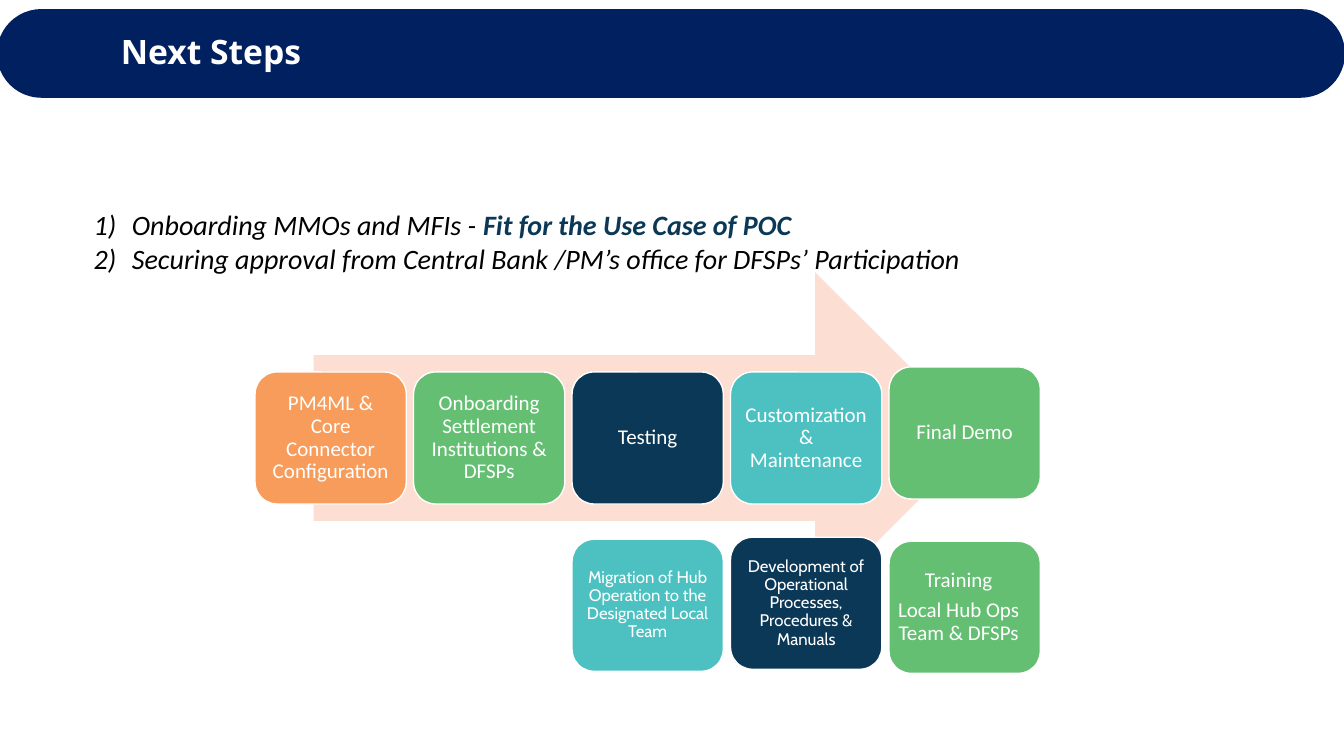
from dataclasses import dataclass

import pptx
import pptx.dml.color
import pptx.enum.shapes
import pptx.enum.text
import pptx.oxml
import pptx.oxml.ns
import pptx.util
from pptx.util import Inches

COLORS = {
    "banner": "002060",
    "arrow": "FCDED2",
    "orange": "F89C5B",
    "green": "65BF73",
    "navy": "0B3856",
    "teal": "4DC1C1",
    "white": "FFFFFF",
    "black": "000000",
}
SHAPES = pptx.enum.shapes.MSO_SHAPE
ALIGN = pptx.enum.text.PP_ALIGN
FIRST_COLUMN, COLUMN_PITCH = 2.53, 1.572
CARD_WIDTH, CARD_HEIGHT = 1.5, 1.31
CARD_INSET = 0.06


@dataclass(frozen=True)
class Card:
    column: int
    top: float
    color: str
    lines: tuple[str, ...]
    font: str = "Calibri"
    size: int = 15
    text_shift: float = 0


CARDS = (
    Card(0, 3.69, "orange", ("PM4ML & Core Connector Configuration",)),
    Card(1, 3.69, "green", ("Onboarding Settlement Institutions & DFSPs",)),
    Card(2, 3.69, "navy", ("Testing",)),
    Card(3, 3.69, "teal", ("Customization & Maintenance",)),
    Card(4, 3.64, "green", ("Final Demo",)),
    Card(4, 5.37, "green", ("Training", "Local Hub Ops Team & DFSPs"), text_shift=-0.06),
    Card(3, 5.33, "navy", ("Development of Operational Processes, Procedures & Manuals",), "Cabin", 12),
    Card(2, 5.35, "teal", ("Migration of Hub Operation to the Designated Local Team",), "Cabin", 12),
)


def rgb(name: str) -> pptx.dml.color.RGBColor:
    return pptx.dml.color.RGBColor.from_string(COLORS[name])


def style_font(font, name: str, size: int, color: str) -> None:
    font.name = name
    font.size = pptx.util.Pt(size)
    font.color.rgb = rgb(color)


def add_filled(slide, kind, left: float, top: float, width: float, height: float, color: str):
    shape = slide.shapes.add_shape(kind, Inches(left), Inches(top), Inches(width), Inches(height))
    shape.shadow.inherit = False
    shape.fill.solid()
    shape.fill.fore_color.rgb = rgb(color)
    shape.line.fill.background()
    return shape


def add_banner(slide) -> None:
    banner = add_filled(slide, SHAPES.ROUNDED_RECTANGLE, -0.03, 0.09, 13.37, 0.88, "banner")
    banner.adjustments[0] = 0.5
    banner.text_frame.margin_left = Inches(1.1)
    banner.text_frame.vertical_anchor = pptx.enum.text.MSO_ANCHOR.MIDDLE
    paragraph = banner.text_frame.paragraphs[0]
    paragraph.text = "Next Steps"
    paragraph.alignment = ALIGN.LEFT
    paragraph.line_spacing = 0.9
    style_font(paragraph.font, "Noto Sans", 24, "white")
    paragraph.font.bold = True


def add_numbered_list(slide) -> None:
    box = slide.shapes.add_textbox(Inches(0.83), Inches(0.99), Inches(8.91), Inches(2.79))
    frame = box.text_frame
    frame.word_wrap = True
    frame.margin_top = Inches(1.07)
    items = (
        ("Onboarding MMOs and MFIs - ", "Fit for the Use Case of POC"),
        ("Securing approval from Central Bank /PM’s office for DFSPs’ Participation", ""),
    )
    for index, (text, emphasis) in enumerate(items):
        paragraph = frame.add_paragraph() if index else frame.paragraphs[0]
        properties = paragraph._p.get_or_add_pPr()
        properties.set("marL", str(Inches(0.38)))
        properties.set("indent", str(-Inches(0.38)))
        numbering = pptx.oxml.parse_xml(
            f'<a:buAutoNum {pptx.oxml.ns.nsdecls("a")} type="arabicParenR"/>'
        )
        properties.append(numbering)
        style_font(paragraph.font, "Calibri", 20, "black")
        paragraph.font.italic = True
        for content, bold, color in ((text, False, "black"), (emphasis, True, "navy")):
            if content:
                run = paragraph.add_run()
                run.text = content
                style_font(run.font, "Calibri", 20, color)
                run.font.italic = True
                run.font.bold = bold


def add_card(slide, card: Card) -> None:
    left = FIRST_COLUMN + card.column * COLUMN_PITCH
    shape = add_filled(
        slide, SHAPES.ROUNDED_RECTANGLE, left, card.top, CARD_WIDTH, CARD_HEIGHT, card.color
    )
    shape.line.color.rgb = rgb("white")
    shape.line.width = pptx.util.Pt(1)
    frame = shape.text_frame
    frame.word_wrap = True
    frame.vertical_anchor = pptx.enum.text.MSO_ANCHOR.MIDDLE
    frame.margin_top = frame.margin_bottom = Inches(CARD_INSET)
    frame.margin_left = Inches(CARD_INSET + card.text_shift)
    frame.margin_right = Inches(CARD_INSET - card.text_shift)
    for index, line in enumerate(card.lines):
        paragraph = frame.add_paragraph() if index else frame.paragraphs[0]
        paragraph.text = line
        paragraph.alignment = ALIGN.CENTER
        paragraph.line_spacing = 0.9
        paragraph.space_after = pptx.util.Pt(card.size * 0.35)
        style_font(paragraph.font, card.font, card.size, "white")


def main() -> None:
    presentation = pptx.Presentation()
    presentation.slide_width = Inches(13.33)
    presentation.slide_height = Inches(7.5)
    slide = presentation.slides.add_slide(presentation.slide_layouts[6])
    add_banner(slide)
    add_numbered_list(slide)
    add_filled(slide, SHAPES.RIGHT_ARROW, 3.11, 2.7, 6.62, 3.29, "arrow")
    for card in CARDS:
        add_card(slide, card)
    presentation.save("out.pptx")


if __name__ == "__main__":
    main()
